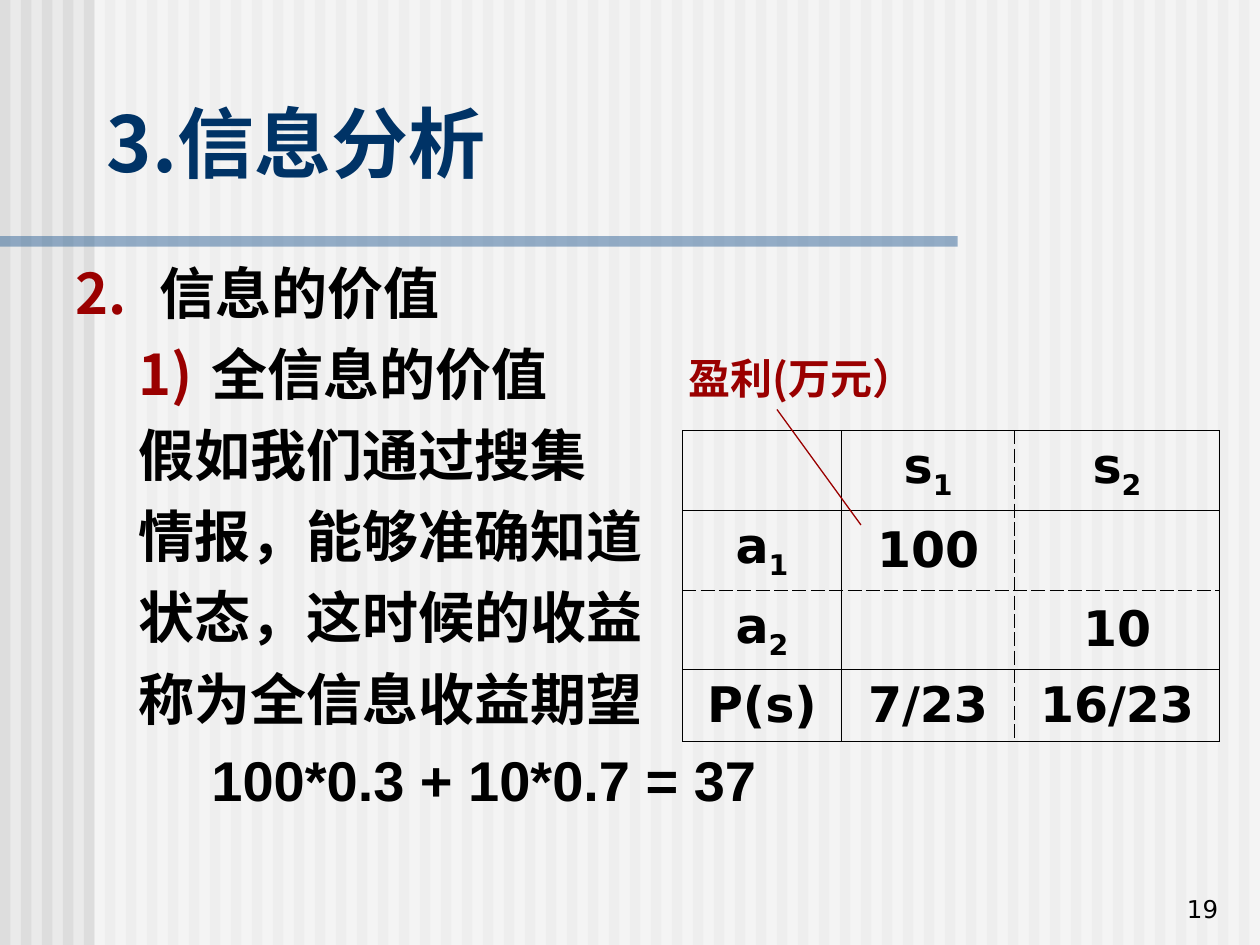
"""Build the slide on the value of perfect information."""
from dataclasses import dataclass
from typing import Optional

from lxml import etree
from pptx import Presentation, util as u
from pptx.dml.color import RGBColor
from pptx.enum import shapes, text
from pptx.oxml import ns

COLUMNS, ROWS = 120, 90
UNIT = u.Inches(10) // COLUMNS
COLORS = {
    "ground": "EAEAEA", "stripe": "DDDDDD", "veil": "FFFFFF", "rule": "336699",
    "title": "003366", "accent": "9A0000", "ink": "000000",
}
HAN, LATIN, DIGITS = "Noto Sans CJK SC", "Arial", "DejaVu Sans"
ALIGN, ANCHOR = text.PP_ALIGN, text.MSO_ANCHOR


@dataclass
class Box:
    col: float
    row: float
    cols: float
    rows: float

    def lengths(self) -> list:
        return [grid(n) for n in (self.col, self.row, self.cols, self.rows)]


@dataclass
class Style:
    size: float
    face: str
    color: str = "ink"
    bold: bool = True
    align: ALIGN = ALIGN.LEFT
    before: float = 0


@dataclass
class Point:
    words: str
    margin: float = 1.08
    indent: float = 0
    numbering: Optional[str] = None
    start: int = 1
    face: str = LATIN


@dataclass
class Entry:
    row: int
    col: int
    words: str
    subscript: str = ""


POINTS = [
    Point("信息的价值", 0.67, -0.67, "arabicPeriod", 2),
    Point("全信息的价值", 1.08, -0.58, "arabicParenR", face=HAN),
    *[Point(line, 1.08, -0.58) for line in (
        "假如我们通过搜集", "情报，能够准确知道", "状态，这时候的收益", "称为全信息收益期望")],
    Point("100*0.3 + 10*0.7 = 37"),
]
ENTRIES = [
    Entry(0, 2, "s", "1"), Entry(0, 3, "s", "2"),
    Entry(1, 0, "a", "1"), Entry(1, 2, "100"),
    Entry(2, 0, "a", "2"), Entry(2, 3, "10"),
    Entry(3, 0, "P(s)"), Entry(3, 2, "7/23"), Entry(3, 3, "16/23"),
]
PAYOFF_COLS = (12.25, 2.9, 16.5, 19.5)
PAYOFF_ROWS = (7.6, 7.6, 7.6, 6.85)
HIDDEN_EDGE, DASHED_COL_EDGE, DASHED_ROW_EDGE = 1, 3, 2


def grid(count: float) -> u.Emu:
    return u.Emu(round(count * UNIT))


def rgb(name: str) -> RGBColor:
    return RGBColor.from_string(COLORS[name])


def add_node(parent, tag: str, **attributes):
    return etree.SubElement(parent, ns.qn(tag), attributes)


def add_block(slide, box: Box, color: str, opacity: int = 100) -> None:
    block = slide.shapes.add_shape(shapes.MSO_SHAPE.RECTANGLE, *box.lengths())
    block.shadow.inherit = False
    block.line.fill.background()
    block.fill.solid()
    block.fill.fore_color.rgb = rgb(color)
    if opacity < 100:
        tint = block.fill._xPr.find(".//" + ns.qn("a:srgbClr"))
        add_node(tint, "a:alpha", val=str(opacity * 1000))


def style_paragraph(paragraph, style: Style) -> None:
    paragraph.alignment = style.align
    paragraph.space_before = u.Pt(style.before)
    font = paragraph.font
    font.size, font.bold, font.name = u.Pt(style.size), style.bold, style.face
    font.color.rgb = rgb(style.color)
    add_node(font._element, "a:ea", typeface=HAN)


def add_frame(slide, box: Box, anchor: ANCHOR, wrap: bool = True):
    frame = slide.shapes.add_textbox(*box.lengths()).text_frame
    frame.word_wrap, frame.vertical_anchor = wrap, anchor
    return frame


def add_label(slide, box: Box, words: str, style: Style, anchor: ANCHOR, wrap: bool = True) -> None:
    paragraph = add_frame(slide, box, anchor, wrap).paragraphs[0]
    paragraph.text = words
    style_paragraph(paragraph, style)


def add_points(slide, box: Box, points: list) -> None:
    frame = add_frame(slide, box, ANCHOR.TOP)
    for index, point in enumerate(points):
        paragraph = frame.add_paragraph() if index else frame.paragraphs[0]
        paragraph.text = point.words
        paragraph.space_before = u.Pt(8)
        props = paragraph._p.get_or_add_pPr()
        props.set("marL", str(u.Inches(point.margin)))
        props.set("indent", str(u.Inches(point.indent)))
        if point.numbering:
            add_node(add_node(props, "a:buClr"), "a:srgbClr", val=COLORS["accent"])
            add_node(props, "a:buFont", typeface=HAN)
            add_node(props, "a:buAutoNum", type=point.numbering, startAt=str(point.start))
        style_paragraph(paragraph, Style(32, point.face, align=ALIGN.JUSTIFY, before=8))


def add_border(cell, side: str, dash: str, hidden: bool) -> None:
    border = add_node(cell._tc.get_or_add_tcPr(), "a:ln" + side, w=str(u.Pt(0.45)))
    if hidden:
        add_node(border, "a:noFill")
        return
    add_node(add_node(border, "a:solidFill"), "a:srgbClr", val=COLORS["ink"])
    add_node(border, "a:prstDash", val=dash)


def rule_cell(cell, row: int, col: int) -> None:
    for side, edge in (("L", col), ("R", col + 1)):
        add_border(cell, side, "dash" if edge == DASHED_COL_EDGE else "solid", edge == HIDDEN_EDGE)
    for side, edge in (("T", row), ("B", row + 1)):
        add_border(cell, side, "dash" if edge == DASHED_ROW_EDGE else "solid", False)
    cell.fill.background()


def add_payoffs(slide, col: float, row: float) -> None:
    box = Box(col, row, sum(PAYOFF_COLS), sum(PAYOFF_ROWS))
    payoffs = slide.shapes.add_table(len(PAYOFF_ROWS), len(PAYOFF_COLS), *box.lengths()).table
    payoffs.first_row = payoffs.horz_banding = False
    for column, width in zip(payoffs.columns, PAYOFF_COLS):
        column.width = grid(width)
    for r, height in enumerate(PAYOFF_ROWS):
        payoffs.rows[r].height = grid(height)
        for c in range(len(PAYOFF_COLS)):
            rule_cell(payoffs.cell(r, c), r, c)
        if r:
            payoffs.cell(r, 0).merge(payoffs.cell(r, 1))
    for entry in ENTRIES:
        cell = payoffs.cell(entry.row, entry.col)
        cell.vertical_anchor = ANCHOR.MIDDLE
        paragraph = cell.text_frame.paragraphs[0]
        paragraph.add_run().text = entry.words
        if entry.subscript:
            index = paragraph.add_run()
            index.text = entry.subscript
            index.font._element.set("baseline", "-25000")
        style_paragraph(paragraph, Style(28, DIGITS, align=ALIGN.CENTER, before=7))


def add_pointer(slide, start: tuple, end: tuple) -> None:
    ends = [grid(n) for n in (*start, *end)]
    pointer = slide.shapes.add_connector(shapes.MSO_CONNECTOR.STRAIGHT, *ends)
    pointer.line.width = u.Pt(0.75)
    pointer.line.color.rgb = rgb("accent")
    add_node(pointer._element.spPr, "a:effectLst")


def main() -> None:
    deck = Presentation()
    deck.slide_width, deck.slide_height = grid(COLUMNS), grid(ROWS)
    slide = deck.slides.add_slide(deck.slide_layouts[6])
    slide.background.fill.solid()
    slide.background.fill.fore_color.rgb = rgb("ground")
    for col in range(0, COLUMNS, 2):
        add_block(slide, Box(col, 0, 1, ROWS), "stripe")
    add_block(slide, Box(9, 0, COLUMNS - 9, ROWS), "veil", 50)
    add_block(slide, Box(0, 22.5, 91.2, 1), "rule", 50)
    add_label(slide, Box(9, 6, 102, 15), "3.信息分析", Style(44, HAN, "title"), ANCHOR.MIDDLE)
    add_points(slide, Box(6, 24, 107, 61), POINTS)
    add_payoffs(slide, 65, 41)
    add_label(slide, Box(63.4, 33, 25.8, 6), "盈利(万元）",
              Style(24, HAN, "accent", align=ALIGN.CENTER), ANCHOR.TOP, wrap=False)
    add_pointer(slide, (74, 39), (82, 50))
    add_label(slide, Box(92.2, 82.5, 25, 6), "19",
              Style(14, DIGITS, bold=False, align=ALIGN.RIGHT), ANCHOR.BOTTOM)
    deck.save("out.pptx")


if __name__ == "__main__":
    main()
